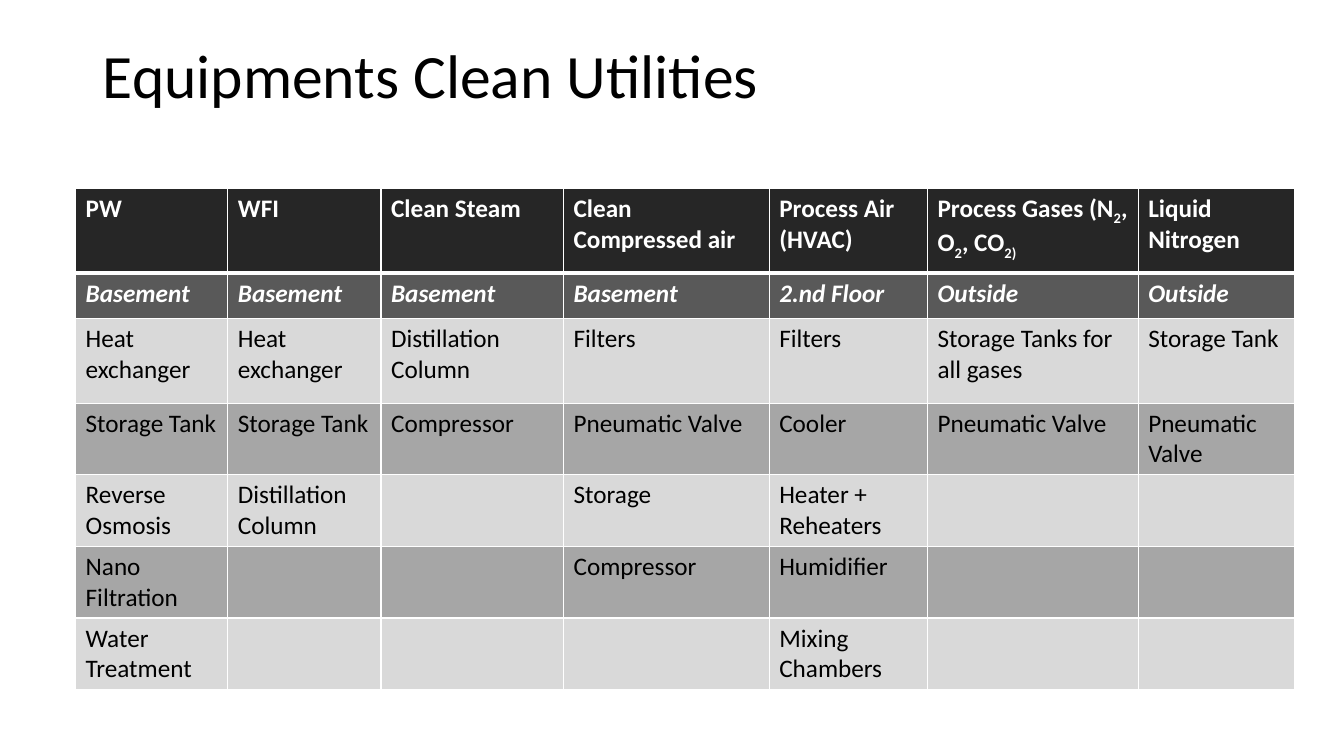
from lxml import etree
from pptx import Presentation, util as u
from pptx.dml.color import RGBColor
from pptx.enum import text
from pptx.oxml import ns


def paint(color_format, hex_color):
    color_format.rgb = RGBColor.from_string(hex_color)


def add_border(cell, side, points):
    line = etree.SubElement(cell._tc.get_or_add_tcPr(), ns.qn("a:ln" + side), w=str(u.Pt(points)))
    fill = etree.SubElement(line, ns.qn("a:solidFill"))
    etree.SubElement(fill, ns.qn("a:srgbClr"), val="FFFFFF")


column_widths = [1.51, 1.52, 1.81, 2.04, 1.57, 2.09, 1.55]
row_heights = [0.84, 0.45, 0.84] + [0.7] * 4
row_fills = ["262626", "595959"] + ["D9D9D9", "A6A6A6"] * 2 + ["D9D9D9"]
subscript_mark = "|"
utilities = [
    ["PW", "WFI", "Clean Steam", "Clean Compressed air", "Process Air\n(HVAC)",
     "Process Gases (N|2|, O|2|, CO|2)", "Liquid Nitrogen"],
    ["Basement", "Basement", "Basement", "Basement", "2.nd Floor", "Outside", "Outside"],
    ["Heat exchanger", "Heat exchanger", "Distillation Column", "Filters", "Filters",
     "Storage Tanks for all gases", "Storage Tank"],
    ["Storage Tank", "Storage Tank", "Compressor", "Pneumatic Valve", "Cooler",
     "Pneumatic Valve", "Pneumatic Valve"],
    ["Reverse Osmosis", "Distillation Column", "", "Storage", "Heater + Reheaters", "", ""],
    ["Nano Filtration", "", "", "Compressor", "Humidifier", "", ""],
    ["Water Treatment", "", "", "", "Mixing Chambers", "", ""],
]

prs = Presentation()
prs.slide_width, prs.slide_height = u.Inches(13.33), u.Inches(7.5)
slide = prs.slides.add_slide(prs.slide_layouts[5])

heading = slide.shapes.title
heading.left, heading.top = u.Inches(0.92), u.Inches(0.4)
heading.width, heading.height = u.Inches(11.5), u.Inches(1.45)
heading.text_frame.text = "Equipments Clean Utilities"
heading.text_frame.vertical_anchor = text.MSO_ANCHOR.TOP
heading_line = heading.text_frame.paragraphs[0]
heading_line.alignment = text.PP_ALIGN.LEFT
heading_line.line_spacing = 0.9
heading_font = heading_line.runs[0].font
heading_font.name, heading_font.size = "Calibri", u.Pt(44)
paint(heading_font.color, "000000")

equipment = slide.shapes.add_table(
    len(row_heights), len(column_widths), u.Inches(0.75), u.Inches(1.87),
    u.Inches(sum(column_widths)), u.Inches(sum(row_heights))).table
for column, width in zip(equipment.columns, column_widths):
    column.width = u.Inches(width)

for r, (height, fill, entries) in enumerate(zip(row_heights, row_fills, utilities)):
    equipment.rows[r].height = u.Inches(height)
    for c, entry in enumerate(entries):
        cell = equipment.cell(r, c)
        for side in "LRTB":
            under_header = (r, side) in [(0, "B"), (1, "T")]
            add_border(cell, side, 3 if under_header else 1)
        cell.fill.solid()
        paint(cell.fill.fore_color, fill)

        paragraph = cell.text_frame.paragraphs[0]
        pieces = entry.split(subscript_mark)
        paragraph.text = pieces[0]
        for i, piece in enumerate(pieces[1:], 1):
            run = paragraph.add_run()
            run.text = piece
            if i % 2:
                run._r.get_or_add_rPr().set("baseline", "-25000")
        for run in paragraph.runs:
            run.font.name, run.font.size = "Calibri", u.Pt(18)
            run.font.bold = r < 2
            run.font.italic = r == 1
            paint(run.font.color, "FFFFFF" if r < 2 else "000000")

prs.save("out.pptx")
